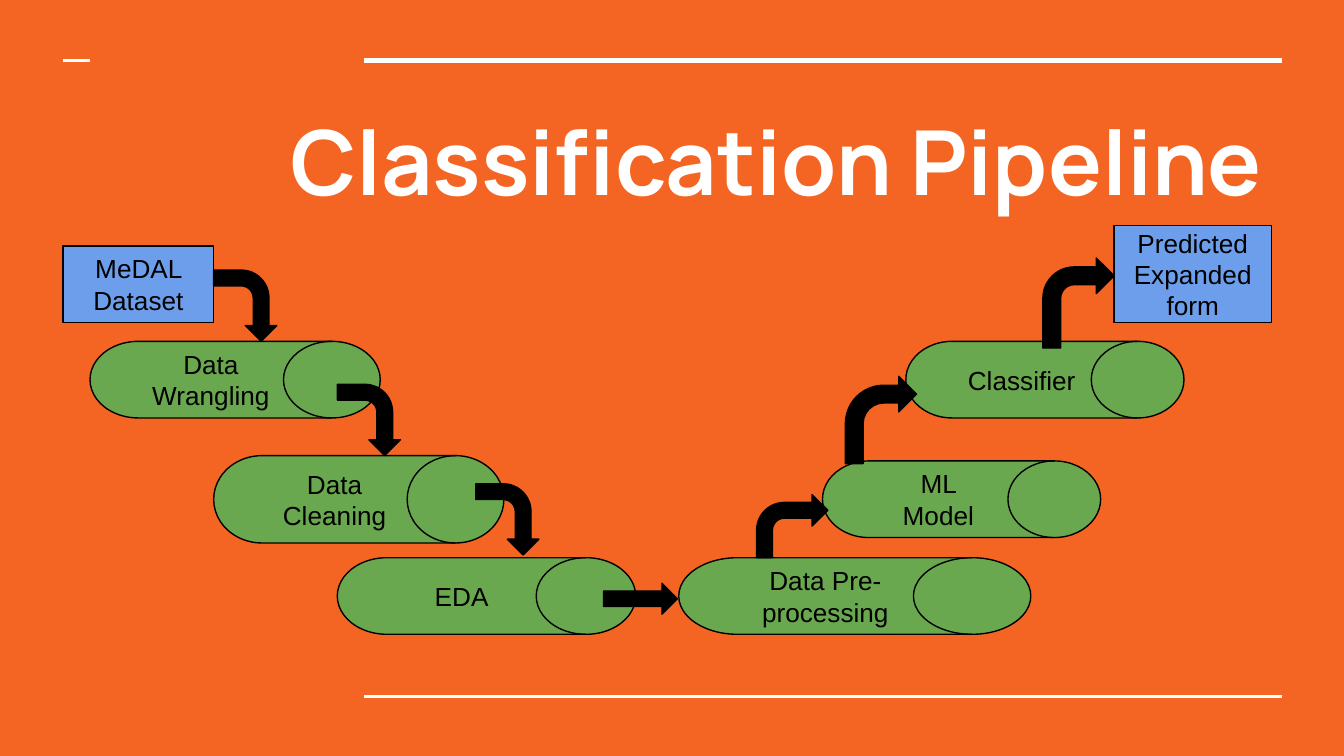
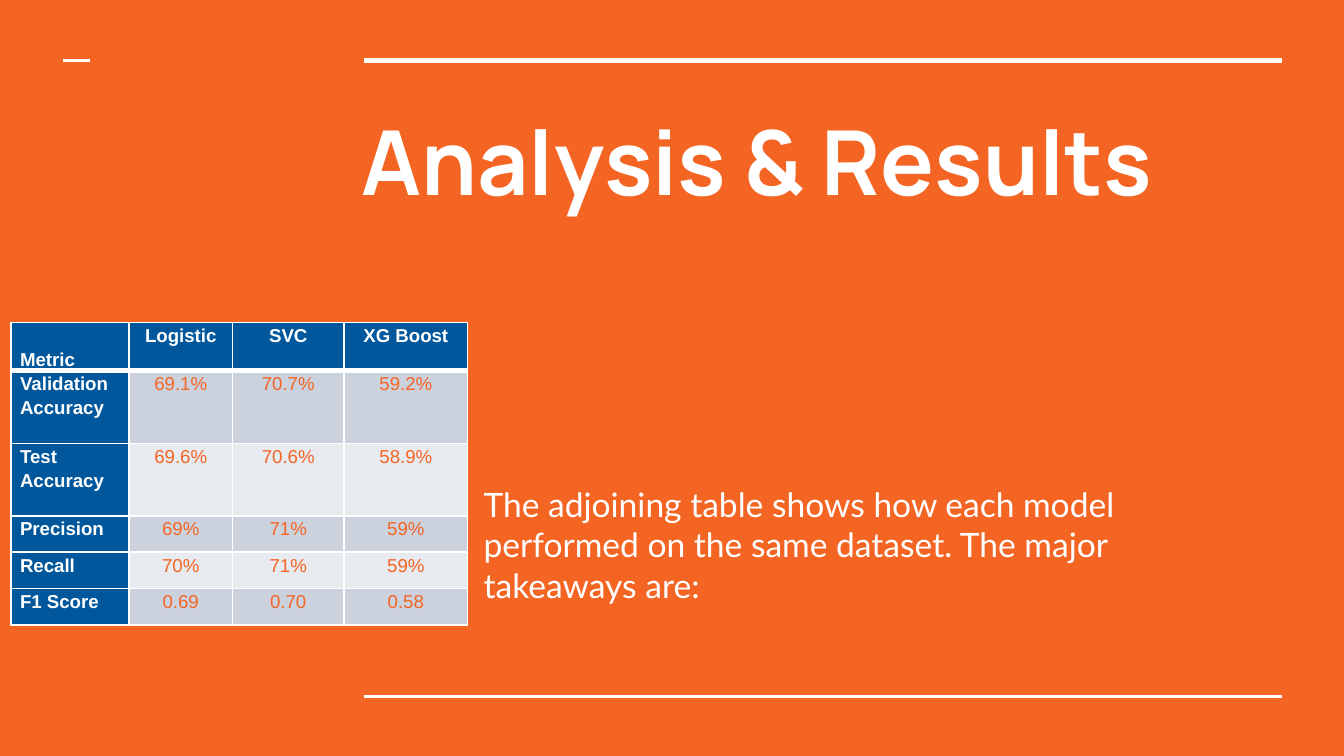
from dataclasses import dataclass

from lxml import etree
from pptx import Presentation
from pptx import util as u
from pptx.dml.color import RGBColor
from pptx.enum import shapes, text
from pptx.oxml import ns

COLUMNS, ROWS = 100, 56.25
UNIT = u.Inches(0.1)

ORANGE = RGBColor(0xF4, 0x65, 0x24)
WHITE = RGBColor(0xFF, 0xFF, 0xFF)
BLACK = RGBColor(0x00, 0x00, 0x00)
BLUE = RGBColor(0x6D, 0x9E, 0xEB)
GREEN = RGBColor(0x6A, 0xA8, 0x4F)
NAVY = RGBColor(0x01, 0x57, 0x9B)
BANDS = (RGBColor(0xCC, 0xD1, 0xDE), RGBColor(0xE7, 0xEA, 0xEF))

RECTANGLE = shapes.MSO_SHAPE.RECTANGLE
DRUM = shapes.MSO_SHAPE.FLOWCHART_DIRECT_ACCESS_STORAGE
BENT = shapes.MSO_SHAPE.BENT_ARROW
STRAIGHT = shapes.MSO_SHAPE.RIGHT_ARROW
CENTER = text.PP_ALIGN.CENTER


@dataclass(frozen=True)
class Area:
    column: float
    row: float
    width: float
    height: float

    def lengths(self) -> tuple:
        return tuple(grid(n) for n in (self.column, self.row, self.width, self.height))


@dataclass(frozen=True)
class Rule:
    start: float
    end: float
    row: float
    weight: float


@dataclass(frozen=True)
class Stage:
    label: str
    area: Area
    kind: int = DRUM
    color: RGBColor = GREEN


@dataclass(frozen=True)
class Arrow:
    area: Area
    kind: int = BENT
    rotation: int = 0
    bend: float = 0.44


RULES = (
    Rule(27.1, 95.4, 4.5, 3),
    Rule(27.1, 95.4, 51.8, 1.5),
    Rule(4.7, 6.7, 4.5, 1.5),
)

STAGES = (
    Stage("MeDAL Dataset", Area(4.7, 18.3, 11.2, 5.7), RECTANGLE, BLUE),
    Stage("Data Wrangling", Area(6.7, 25.4, 21.6, 5.7)),
    Stage("Data Cleaning", Area(15.9, 33.9, 21.6, 6.5)),
    Stage("EDA", Area(25.1, 41.5, 22.2, 5.7)),
    Stage("Data Pre-processing", Area(50.5, 41.5, 26.2, 5.7)),
    Stage("ML Model", Area(61.2, 34.3, 20.7, 5.7)),
    Stage("Classifier", Area(67.4, 25.4, 20.7, 5.7)),
    Stage("Predicted Expanded form", Area(82.9, 16.8, 11.7, 7.2), RECTANGLE, BLUE),
)

FALLING = ((15.6, 20.4), (24.8, 28.9), (35.1, 36.3))
ARROWS = tuple(Arrow(Area(*spot, 5.3, 4.7), rotation=90) for spot in FALLING) + (
    Arrow(Area(44.9, 43.4, 5.5, 2.3), STRAIGHT),
    Arrow(Area(56.3, 36.8, 5.3, 4.7)),
    Arrow(Area(62.9, 28, 5.3, 6.5), bend=0.54),
    Arrow(Area(77.6, 19.2, 5.3, 6.7)),
)

TABLE_CORNER = (0.8, 24)
TABLE_COLUMNS = (8.8, 7.7, 8.3, 9.2)
TABLE_ROWS = (3.6, 5.4, 5.4, 2.7, 2.7, 2.7)
METRICS = (
    ("Metric", "Logistic", "SVC", "XG Boost"),
    ("Validation Accuracy", "69.1%", "70.7%", "59.2%"),
    ("Test Accuracy", "69.6%", "70.6%", "58.9%"),
    ("Precision", "69%", "71%", "59%"),
    ("Recall", "70%", "71%", "59%"),
    ("F1 Score", "0.69", "0.70", "0.58"),
)


def grid(cells: float) -> int:
    return round(cells * UNIT)


def write(frame, words: str, *, size: float, font: str = "Arial",
          color: RGBColor = BLACK, bold: bool = False, align=text.PP_ALIGN.LEFT,
          spacing: float = 1.0) -> None:
    frame.word_wrap = True
    para = frame.paragraphs[0]
    para.alignment = align
    para.line_spacing = spacing
    span = para.add_run()
    span.text = words
    span.font.size = u.Pt(size)
    span.font.name = font
    span.font.color.rgb = color
    span.font.bold = bold


def set_insets(frame, bottom: float = 1) -> None:
    frame.margin_left = frame.margin_right = frame.margin_top = grid(1)
    frame.margin_bottom = grid(bottom)


def add_text(page, area: Area, words: str, *, anchor=text.MSO_ANCHOR.TOP,
             bottom: float = 1, **style) -> None:
    frame = page.shapes.add_textbox(*area.lengths()).text_frame
    set_insets(frame, bottom)
    frame.vertical_anchor = anchor
    write(frame, words, color=WHITE, **style)


def add_rule(page, rule: Rule) -> None:
    line = page.shapes.add_connector(
        shapes.MSO_CONNECTOR.STRAIGHT,
        grid(rule.start), grid(rule.row), grid(rule.end), grid(rule.row))
    line.line.color.rgb = WHITE
    line.line.width = u.Pt(rule.weight)
    etree.SubElement(line._element.spPr, ns.qn("a:effectLst"))


def add_page(deck, title: str, title_area: Area):
    page = deck.slides.add_slide(deck.slide_layouts[6])
    for rule in RULES:
        add_rule(page, rule)
    add_text(page, title_area, title, size=48, font="Manrope", bold=True)
    return page


def add_box(page, kind: int, area: Area, color: RGBColor):
    box = page.shapes.add_shape(kind, *area.lengths())
    box.shadow.inherit = False
    box.fill.solid()
    box.fill.fore_color.rgb = color
    box.line.color.rgb = BLACK
    box.line.width = u.Pt(0.75)
    return box


def add_stage(page, stage: Stage) -> None:
    frame = add_box(page, stage.kind, stage.area, stage.color).text_frame
    set_insets(frame)
    frame.vertical_anchor = text.MSO_ANCHOR.MIDDLE
    write(frame, stage.label, size=14, align=CENTER)


def add_arrow(page, arrow: Arrow) -> None:
    box = add_box(page, arrow.kind, arrow.area, BLACK)
    box.rotation = arrow.rotation
    if arrow.kind == BENT:
        box.adjustments[3] = arrow.bend


def set_border(cell, side: str, weight: float) -> None:
    line = etree.SubElement(cell._tc.get_or_add_tcPr(), ns.qn(f"a:ln{side}"),
                            w=str(u.Pt(weight)))
    fill = etree.SubElement(line, ns.qn("a:solidFill"))
    etree.SubElement(fill, ns.qn("a:srgbClr"), val=str(WHITE))


def format_cell(cell, words: str, row: int, column: int) -> None:
    heading = row == 0 or column == 0
    cell.margin_left = cell.margin_right = grid(0.7)
    cell.margin_top = cell.margin_bottom = 0
    corner = row == 0 and column == 0
    cell.vertical_anchor = text.MSO_ANCHOR.BOTTOM if corner else text.MSO_ANCHOR.TOP
    for side in "LRTB":
        thick = (row, side) in ((0, "B"), (1, "T"))
        set_border(cell, side, 3 if thick else 1)
    cell.fill.solid()
    cell.fill.fore_color.rgb = NAVY if heading else BANDS[(row - 1) % 2]
    write(cell.text_frame, words, size=10, color=WHITE if heading else ORANGE,
          bold=heading, align=CENTER if column else text.PP_ALIGN.LEFT, spacing=1.15)


def add_metrics(page) -> None:
    area = Area(*TABLE_CORNER, sum(TABLE_COLUMNS), sum(TABLE_ROWS))
    table = page.shapes.add_table(len(METRICS), len(METRICS[0]), *area.lengths()).table
    for column, width in zip(table.columns, TABLE_COLUMNS):
        column.width = grid(width)
    for row, height in zip(table.rows, TABLE_ROWS):
        row.height = grid(height)
    for i, values in enumerate(METRICS):
        for j, words in enumerate(values):
            format_cell(table.cell(i, j), words, i, j)


def add_pipeline_page(deck) -> None:
    page = add_page(deck, "Classification Pipeline", Area(20.6, 6.9, 74.6, 16.9))
    for stage in STAGES:
        add_stage(page, stage)
    for arrow in ARROWS:
        add_arrow(page, arrow)


def add_results_page(deck) -> None:
    page = add_page(deck, "Analysis & Results", Area(25.9, 6.9, 69.2, 16.9))
    add_text(page, Area(35, 25.3, 60.4, 23.7),
             "The adjoining table shows how each model performed on the same dataset. "
             "The major takeaways are:",
             size=18, font="Lato", anchor=text.MSO_ANCHOR.BOTTOM, bottom=4)
    add_metrics(page)


def main() -> None:
    deck = Presentation()
    deck.slide_width, deck.slide_height = grid(COLUMNS), grid(ROWS)
    backdrop = deck.slide_master.background.fill
    backdrop.solid()
    backdrop.fore_color.rgb = ORANGE
    add_pipeline_page(deck)
    add_results_page(deck)
    deck.save("out.pptx")


if __name__ == "__main__":
    main()
